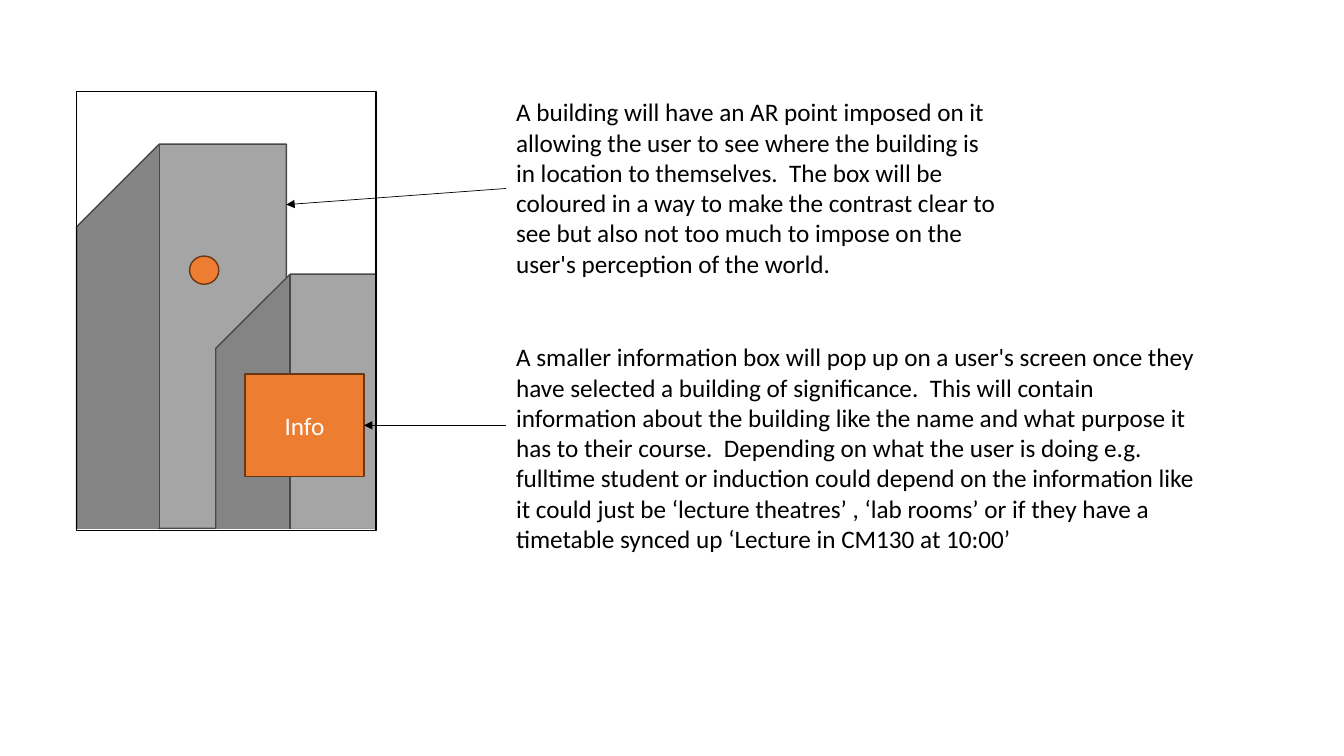
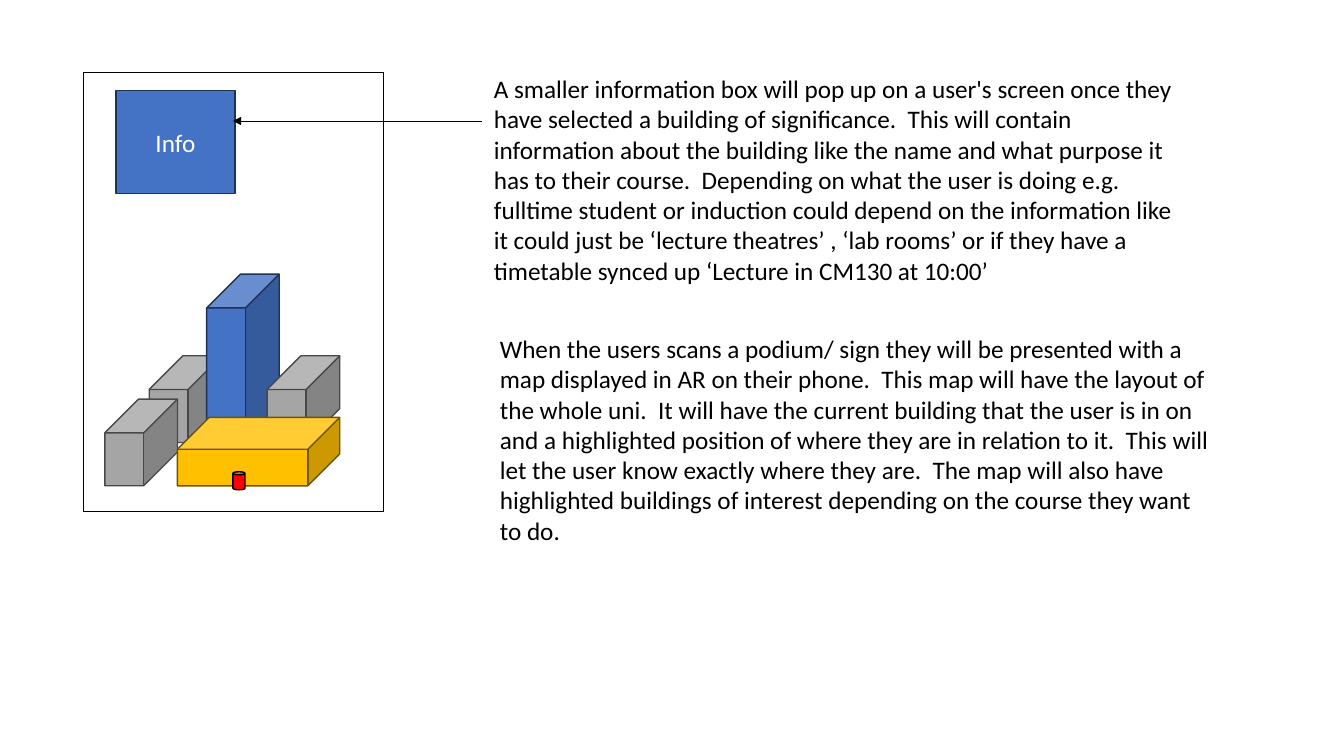
import lxml.etree
import pptx
import pptx.dml.color
import pptx.enum.shapes
import pptx.enum.text
import pptx.oxml.ns
import pptx.util

Inches = pptx.util.Inches
Pt = pptx.util.Pt
RGB = pptx.dml.color.RGBColor.from_string
SHAPE = pptx.enum.shapes.MSO_SHAPE
ANCHOR = pptx.enum.text.MSO_ANCHOR
ALIGN = pptx.enum.text.PP_ALIGN
AUTO_SIZE = pptx.enum.text.MSO_AUTO_SIZE

# Shared look
COLORS = {
    "black": "000000", "white": "FFFFFF", "red": "FF0000",
    "grey": "A5A5A5", "grey edge": "484848",
    "orange": "ED7D31", "orange edge": "683715",
    "blue": "4472C4", "blue edge": "1E3256",
    "yellow": "FFC000", "yellow edge": "705400",
}
FONT = {"name": "Calibri", "size": Pt(18)}
NOTE_FRAME = {"word_wrap": True, "auto_size": AUTO_SIZE.SHAPE_TO_FIT_TEXT}
INFO_SIZE = (1.18, 1.02)
PHONE_SIZE = (2.97, 4.35)
HOUSE_SIZE = (0.72, 0.86)

INFO_NOTE = (
    "A smaller information box will pop up on a user's screen once they have "
    "selected a building of significance.  This will contain information about "
    "the building like the name and what purpose it has to their course.  "
    "Depending on what the user is doing e.g. fulltime student or induction "
    "could depend on the information like it could just be ‘lecture theatres’ , "
    "‘lab rooms’ or if they have a timetable synced up ‘Lecture in CM130 at 10:00’"
)
POINT_NOTE = (
    "A building will have an AR point imposed on it allowing the user to see "
    "where the building is in location to themselves.  The box will be coloured "
    "in a way to make the contrast clear to see but also not too much to impose "
    "on the user's perception of the world."
)
MAP_NOTE = (
    "When the users scans a podium/ sign they will be presented with a map "
    "displayed in AR on their phone.  This map will have the layout of the whole "
    "uni.  It will have the current building that the user is in on and a "
    "highlighted position of where they are in relation to it.  This will let "
    "the user know exactly where they are.  The map will also have highlighted "
    "buildings of interest depending on the course they want to do."
)


def add_block(slide, kind, box, fill, edge, depth=None, rotation=0, label=""):
    block = slide.shapes.add_shape(kind, *map(Inches, box))
    block.shadow.inherit = False
    block.rotation = rotation
    if depth:
        block.adjustments[0] = depth
    if fill:
        block.fill.solid()
        block.fill.fore_color.rgb = RGB(COLORS[fill])
    else:
        block.fill.background()
    block.line.color.rgb = RGB(COLORS[edge])
    block.line.width = Pt(1 if fill else 0.75)
    if label:
        block.text_frame.vertical_anchor = ANCHOR.MIDDLE
        paragraph = block.text_frame.paragraphs[0]
        paragraph.text = label
        paragraph.alignment = ALIGN.CENTER
        paragraph.font.color.rgb = RGB(COLORS["white"])
        for key, value in FONT.items():
            setattr(paragraph.font, key, value)
    return block


def add_note(slide, box, text):
    note = slide.shapes.add_textbox(*map(Inches, box))
    for key, value in NOTE_FRAME.items():
        setattr(note.text_frame, key, value)
    paragraph = note.text_frame.paragraphs[0]
    paragraph.text = text
    paragraph.font.color.rgb = RGB(COLORS["black"])
    for key, value in FONT.items():
        setattr(paragraph.font, key, value)
    return note


deck = pptx.Presentation()
deck.slide_width = Inches(13.33)
deck.slide_height = Inches(7.5)
blank = deck.slide_layouts[6]

# Slide 1: street view with two towers, cropped to the phone screen
street = deck.slides.add_slide(blank)
for tower in ((0.76, 1.43, 2.08, 4.63), (2.14, 2.72, 1.87, 3.27)):
    add_block(street, SHAPE.CUBE, tower, "grey", "grey edge", 0.394, 180)
for mask in ((0.51, 5.26, 3.79, 0.9), (3.73, 1.64, 3.79, 3.62)):
    add_block(street, SHAPE.RECTANGLE, mask, "white", "white")
add_block(street, SHAPE.RECTANGLE, (0.76, 0.91, *PHONE_SIZE), None, "black")
street_info = add_block(street, SHAPE.RECTANGLE, (2.43, 3.71, *INFO_SIZE),
                        "orange", "orange edge", label="Info")
add_block(street, SHAPE.OVAL, (1.88, 2.54, 0.29, 0.28), "orange", "orange edge")
point_note = add_note(street, (5.02, 0.91, 5.01, 1.92), POINT_NOTE)
add_note(street, (5.02, 3.34, 7.11, 2.22), INFO_NOTE)

# Slide 2: campus map, buildings from back to front
campus = deck.slides.add_slide(blank)
add_block(campus, SHAPE.RECTANGLE, (0.83, 0.72, *PHONE_SIZE), None, "black")
for building, color in (
    ((1.48, 3.53, *HOUSE_SIZE), "grey"),
    ((1.04, 3.96, *HOUSE_SIZE), "grey"),
    ((2.05, 2.72, 0.72, 1.68), "blue"),
    ((2.65, 3.53, *HOUSE_SIZE), "grey"),
    ((1.76, 4.14, 1.61, 0.68), "yellow"),
):
    add_block(campus, SHAPE.CUBE, building, color, color + " edge", 0.465)
add_block(campus, SHAPE.CAN, (2.31, 4.68, 0.12, 0.18), "red", "black")
add_block(campus, SHAPE.RECTANGLE, (1.15, 0.9, *INFO_SIZE),
          "blue", "blue edge", label="Info")
add_note(campus, (4.86, 3.26, 7.27, 2.22), MAP_NOTE)
add_note(campus, (4.8, 0.68, 7.11, 2.22), INFO_NOTE)

# Arrows from the notes to the parts they explain
for slide, ends, from_note, to_info in (
    (street, (5.02, 1.87, 2.84, 2.03), point_note, None),
    (street, (5.02, 4.22, 3.61, 4.22), None, street_info),
    (campus, (4.78, 1.2, 2.31, 1.2), None, None),
):
    arrow = slide.shapes.add_connector(
        pptx.enum.shapes.MSO_CONNECTOR.STRAIGHT, *map(Inches, ends))
    if from_note:
        arrow.begin_connect(from_note, 1)
    if to_info:
        arrow.end_connect(to_info, 3)
    arrow.line.color.rgb = RGB(COLORS["black"])
    arrow.line.width = Pt(0.5)
    head = lxml.etree.SubElement(arrow.line._get_or_add_ln(),
                                 pptx.oxml.ns.qn("a:tailEnd"))
    head.set("type", "triangle")
    lxml.etree.SubElement(arrow._element.spPr, pptx.oxml.ns.qn("a:effectLst"))

deck.save("out.pptx")
